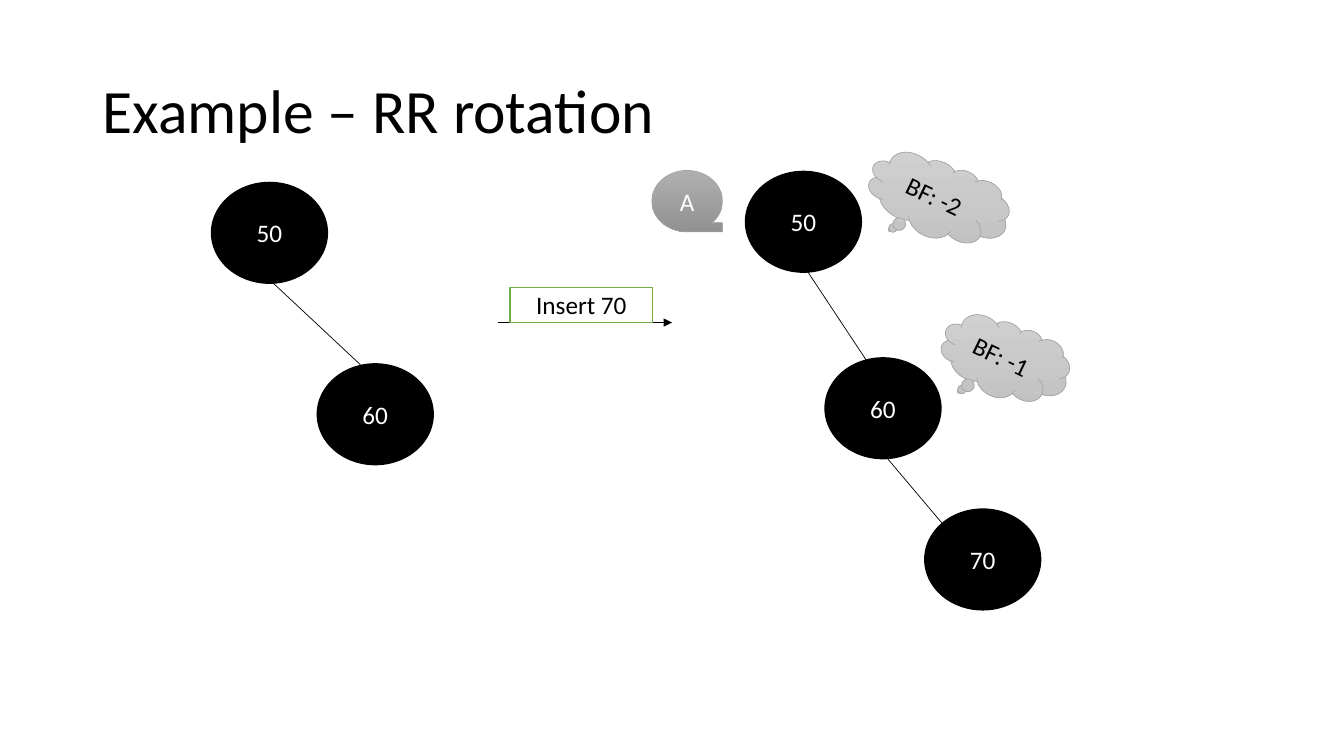
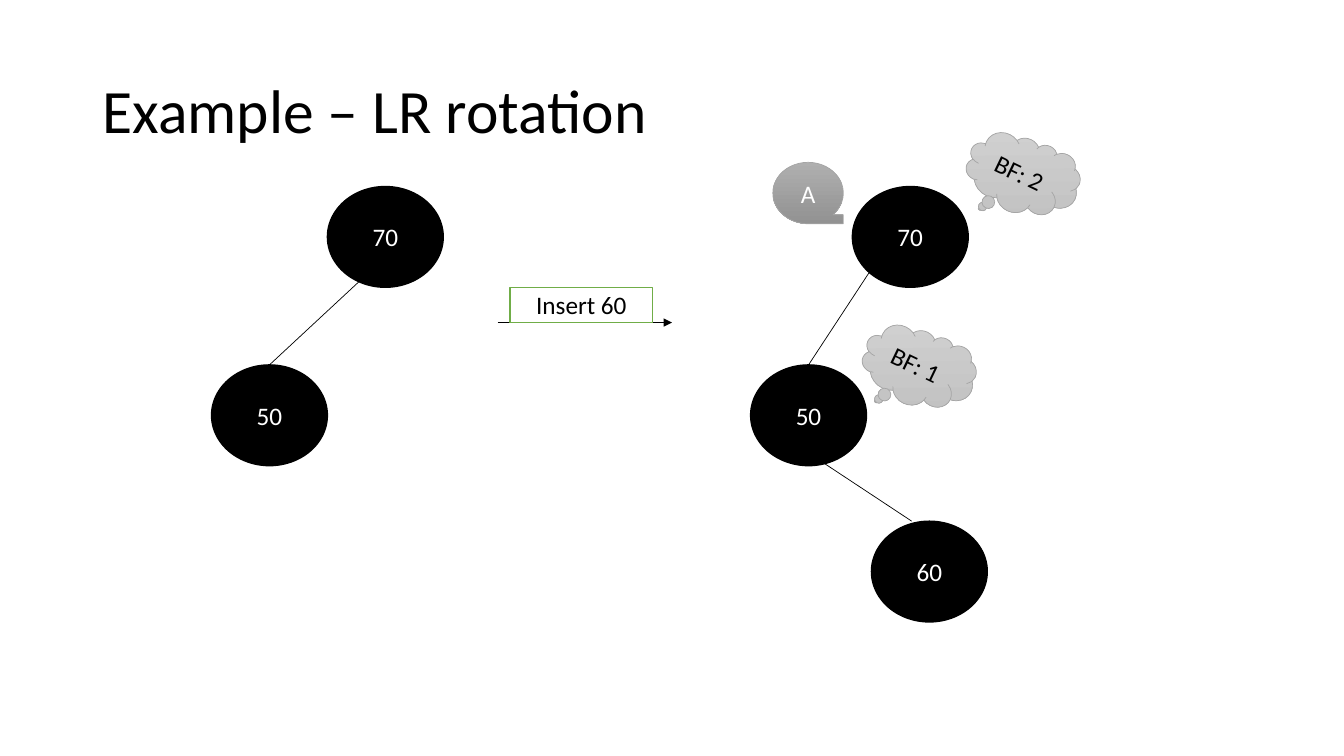
from dataclasses import dataclass

import pptx
import pptx.dml.color
import pptx.enum.shapes
import pptx.enum.text
import pptx.oxml.ns
import pptx.util
from lxml import etree

SHAPE = pptx.enum.shapes.MSO_SHAPE
ALIGN = pptx.enum.text.PP_ALIGN
MIDDLE = pptx.enum.text.MSO_ANCHOR.MIDDLE
QN = pptx.oxml.ns.qn


@dataclass(frozen=True)
class Theme:
    """Colours, type sizes and the slide grid of 100 columns by 100 rows."""
    ink: str = "000000"
    paper: str = "FFFFFF"
    green: str = "70AD47"
    grey: str = "A5A5A5"
    cloud: tuple = ("D2D2D2", "C0C0C0")
    tape: tuple = ("AFAFAF", "929292")
    font: str = "Calibri"
    title: int = 44
    body: int = 18
    width: float = 13.34
    height: float = 7.5
    node: tuple = (8.62, 13.33)


THEME = Theme()
TITLE_BOX = (6.9, 5.33, 86.21, 19.33)
STEP_BOX = (37.03, 38, 12.97, 4.67)

SLIDES = [
    {
        "title": "Example – RR rotation",
        "step": "Insert 70",
        "before": {
            "origin": (15.74, 24.13),
            "nodes": [("50", 0, 0), ("60", 7.87, 24)],
            "edges": [((4.35, 12.93), (11.09, 24.13))],
        },
        "after": {
            "origin": (55.47, 22.67),
            "nodes": [("50", 0, 0), ("60", 5.92, 24.67), ("70", 13.34, 44.67)],
            "edges": [((4.65, 13.33), (9.22, 25.6)),
                      ((10.57, 38), (14.62, 46.53))],
            "clouds": [("BF: -2", 8.92, -1.33, 10.87),
                       ("BF: -1", 14.39, 19.87, 9.82)],
            "tape": ("A", -6.97, -0.13),
        },
    },
    {
        "title": "Example – LR rotation",
        "step": "Insert 60",
        "before": {
            "origin": (24.36, 24.67),
            "nodes": [("70", 0, 0), ("50", -8.62, 23.6)],
            "edges": [((2.47, 12.4), "50")],
        },
        "after": {
            "origin": (63.42, 24.67),
            "nodes": [("70", 0, 0), ("50", -7.57, 23.6), ("60", 1.42, 44.27)],
            "edges": [((1.27, 11.33), "50"),
                      ((4.42, 44.27), (-2.17, 36.53))],
            "clouds": [("BF: 2", 8.4, -6.53, 8.55),
                       ("BF: 1", 0.67, 18.93, 8.55)],
            "tape": ("A", -5.92, -3.2),
        },
    },
]


def col(n):
    """Return the length of n grid columns."""
    return pptx.util.Inches(n * THEME.width / 100)


def row(n):
    """Return the length of n grid rows."""
    return pptx.util.Inches(n * THEME.height / 100)


def rgb(value):
    """Return a colour object for a hex value."""
    return pptx.dml.color.RGBColor.from_string(value)


def set_text(sp, text, size, color, align):
    """Write one line of text, centred vertically in its shape."""
    tf = sp.text_frame
    for name, value in {"word_wrap": True, "vertical_anchor": MIDDLE}.items():
        setattr(tf, name, value)
    p = tf.paragraphs[0]
    p.alignment = align
    r = p.add_run()
    r.text = text
    formats = {"name": THEME.font, "size": pptx.util.Pt(size)}
    for name, value in formats.items():
        setattr(r.font, name, value)
    r.font.color.rgb = rgb(color)
    return p


def add_shape(s, kind, box, text, fill, line, weight, color, angle=0):
    """Add a labelled shape with a solid fill or a two-colour gradient."""
    x, y, w, h = box
    sp = s.shapes.add_shape(kind, col(x), row(y), col(w), row(h))
    sp.shadow.inherit = False
    if isinstance(fill, tuple):
        sp.fill.gradient()
        sp.fill.gradient_angle = 360 - angle
        for stop, shade in zip(sp.fill.gradient_stops, fill):
            stop.color.rgb = rgb(shade)
    else:
        sp.fill.solid()
        sp.fill.fore_color.rgb = rgb(fill)
    sp.line.color.rgb = rgb(line)
    sp.line.width = pptx.util.Pt(weight)
    set_text(sp, text, THEME.body, color, ALIGN.CENTER)
    return sp


def add_line(s, start, end):
    """Add a thin straight connector between two grid points."""
    line = s.shapes.add_connector(
        pptx.enum.shapes.MSO_CONNECTOR.STRAIGHT,
        col(start[0]), row(start[1]), col(end[0]), row(end[1]))
    line.line.color.rgb = rgb(THEME.ink)
    line.line.width = pptx.util.Pt(0.5)
    etree.SubElement(line._element.spPr, QN("a:effectLst"))
    return line


def add_title(s, box, text):
    """Add the slide title."""
    x, y, w, h = box
    sp = s.shapes.add_textbox(col(x), row(y), col(w), row(h))
    p = set_text(sp, text, THEME.title, THEME.ink, ALIGN.LEFT)
    p.line_spacing = 0.9


def add_step(s, box, text):
    """Add the insertion arrow along the box bottom with its label above."""
    x, y, w, h = box
    arrow = add_line(s, (x, y + h), (x + w, y + h))
    etree.SubElement(arrow.line._get_or_add_ln(), QN("a:tailEnd"),
                     type="triangle")
    add_shape(s, SHAPE.RECTANGLE, (x + 0.07 * w, y, 0.82 * w, h), text,
              THEME.paper, THEME.green, 1, THEME.ink)


def add_tree(s, origin, nodes, edges, clouds=(), tape=None):
    """Add a tree with its balance factors, placed from its root's corner."""
    left, top = origin

    def at(x, y):
        """Shift a point by the origin."""
        return left + x, top + y

    placed = {}
    for key, x, y in nodes:
        placed[key] = add_shape(s, SHAPE.OVAL, (*at(x, y), *THEME.node), key,
                                THEME.ink, THEME.ink, 1, THEME.paper)
    for start, end in edges:
        child = placed.get(end)
        line = add_line(s, at(*start), at(0, 0) if child else at(*end))
        if child:
            line.end_connect(child, 0)
    for text, x, y, w in clouds:
        cloud = add_shape(s, SHAPE.CLOUD_CALLOUT, (*at(x, y), w, 10.13), text,
                          THEME.cloud, THEME.grey, 0.5, THEME.ink, 64)
        cloud.rotation = 25.6
        for i, value in enumerate((-0.208, 0.625)):
            cloud.adjustments[i] = value
    if tape:
        text, x, y = tape
        add_shape(s, SHAPE.FLOWCHART_SEQUENTIAL_ACCESS_STORAGE,
                  (*at(x, y), 5.25, 8.13), text,
                  THEME.tape, THEME.grey, 0.5, THEME.paper, 90)


def add_rotation_slide(prs, content):
    """Add a slide showing a tree before and after an insertion."""
    s = prs.slides.add_slide(prs.slide_layouts[6])
    add_title(s, TITLE_BOX, content["title"])
    add_tree(s, **content["before"])
    add_step(s, STEP_BOX, content["step"])
    add_tree(s, **content["after"])


def main():
    """Build and save the presentation."""
    prs = pptx.Presentation()
    prs.slide_width, prs.slide_height = col(100), row(100)
    for content in SLIDES:
        add_rotation_slide(prs, content)
    prs.save("out.pptx")


if __name__ == "__main__":
    main()
